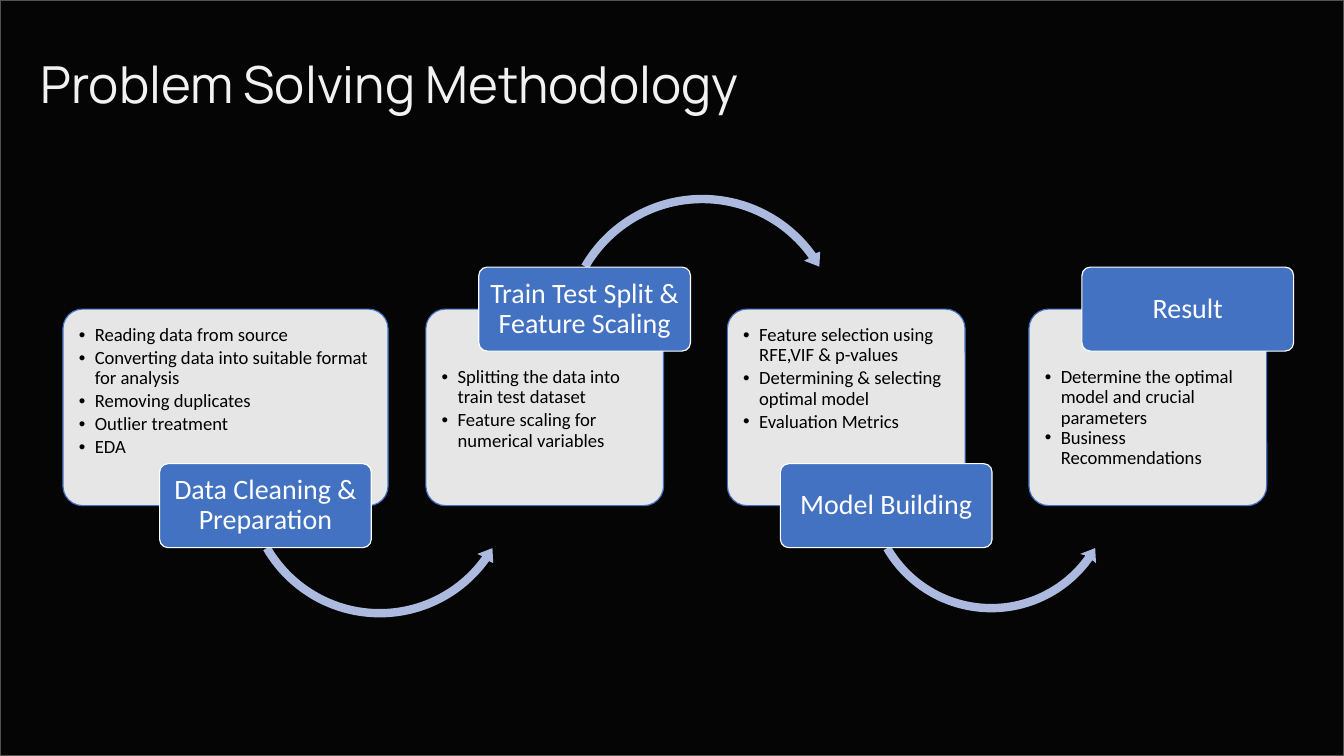
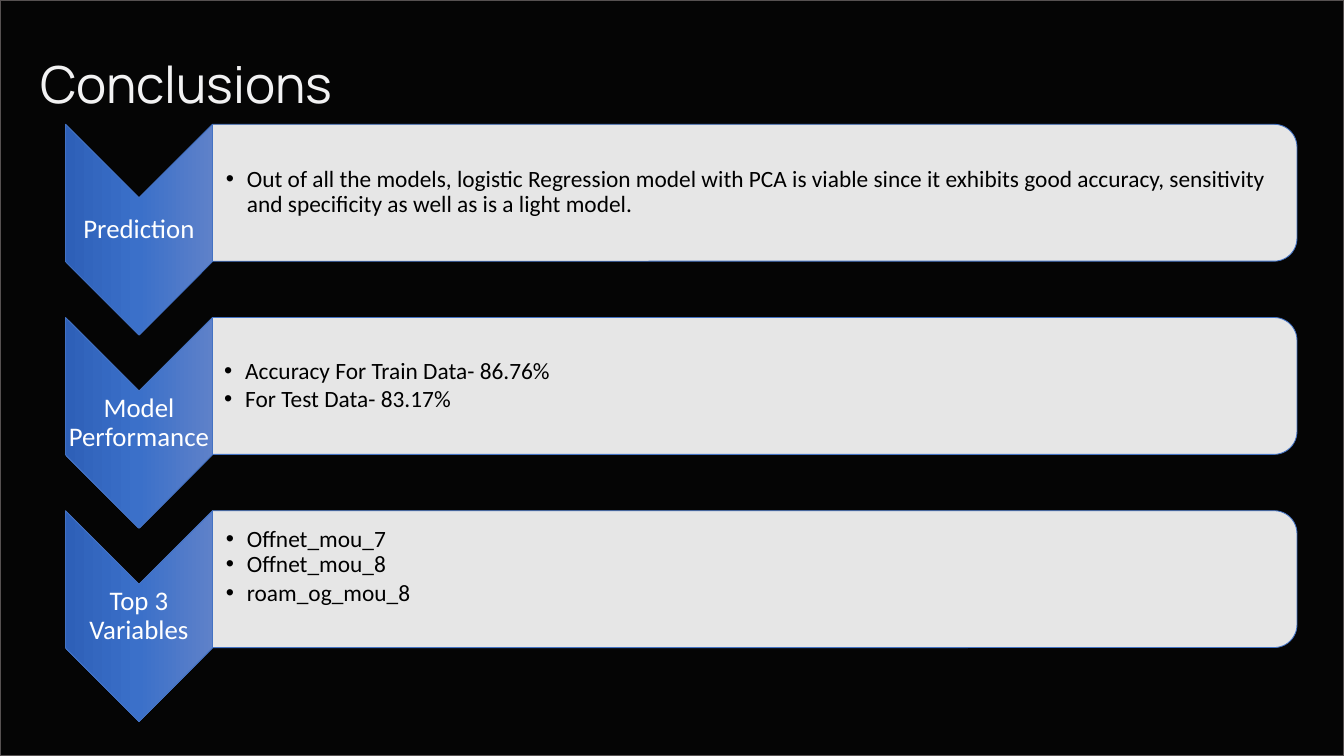
"""Builds two dark slides: a four-step method and its conclusions."""
from copy import deepcopy
from itertools import pairwise
from math import cos, radians, sin, tan

from lxml.etree import SubElement
from pptx import Presentation
from pptx.dml.color import RGBColor
from pptx.enum.shapes import MSO_SHAPE as Kind
from pptx.enum.text import MSO_ANCHOR as Anchor, MSO_AUTO_SIZE as Fit, PP_ALIGN as Align
from pptx.oxml.ns import qn
from pptx.util import Inches, Pt

Rgb = RGBColor.from_string
BLACK, WHITE, BLUE = "000000", "FFFFFF", "4372C3"
NIGHT, EDGE, PALE, SWEEP = "050505", "565151", "F2F2F3", "ABBADE"
BLEND = [(0, "5E81C9"), (0.5, "3B70C9"), (1, "2E60B8")]
TIGHT = {"Business Recommendations", "Offnet_mou_8"}
TURNS = [radians(150), radians(92.75), radians(35.5)]


def paint(shape, fill, line=None, width=1, alpha=None):
    shape.shadow.inherit = False
    shape.fill.solid()
    shape.fill.fore_color.rgb = Rgb(fill)
    if alpha:
        tint = shape.element.spPr.find(".//" + qn("a:srgbClr"))
        SubElement(tint, qn("a:alpha"), val=str(alpha * 1000))
    if line:
        shape.line.color.rgb = Rgb(line)
        shape.line.width = Pt(width)
    else:
        shape.line.fill.background()


def write(shape, text, size, color, insets, anchor=Anchor.MIDDLE, font="Calibri",
          space=0.9, align=Align.CENTER, indent=0, gap=0):
    frame = shape.text_frame
    frame.text = text
    frame.word_wrap = True
    frame.auto_size = Fit.NONE
    frame.vertical_anchor = anchor
    (frame.margin_left, frame.margin_top,
     frame.margin_right, frame.margin_bottom) = map(Inches, insets)
    for num, para in enumerate(frame.paragraphs):
        para.alignment = align
        para.line_spacing = space
        if indent:
            props = para._p.get_or_add_pPr()
            props.set("marL", str(Inches(indent)))
            props.set("indent", str(-Inches(indent)))
            SubElement(props, qn("a:buFont"), typeface="Arial")
            SubElement(props, qn("a:buChar"), char="•")
        if num and para.text not in TIGHT:
            para.space_before = Pt(gap)
        for run in para.runs:
            run.font.size = Pt(size)
            run.font.name = font
            run.font.color.rgb = Rgb(color)


deck = Presentation()
deck.slide_width, deck.slide_height = Inches(16), Inches(9)

pages = []
for name in ("Problem Solving Methodology", "Conclusions"):
    page = deck.slides.add_slide(deck.slide_layouts[5])
    title = page.shapes.title
    title.left, title.top = Inches(0.38), Inches(0.39)
    title.width, title.height = Inches(8.98), Inches(0.76)
    write(title, name, 43.7, PALE, (0.1, 0.05, 0.1, 0.05), Anchor.TOP,
          "Manrope", 1.25, Align.LEFT)
    back = page.shapes.add_shape(Kind.RECTANGLE, 0, 0, deck.slide_width, deck.slide_height)
    paint(back, NIGHT, EDGE, 1.09)
    title.element.addprevious(back.element)
    pages.append(page.shapes)

method, ending = pages

steps = [
    (0.75, 3.87, 1.9, "Data Cleaning & Preparation", (4.52, 5.75, 1.6),
     ["Reading data from source", "Converting data into suitable format for analysis",
      "Removing duplicates", "Outlier treatment", "EDA"]),
    (5.07, 2.83, 5.7, "Train Test Split & Feature Scaling", (8.36, 3.98, 1.66),
     ["Splitting the data into train test dataset",
      "Feature scaling for numerical variables"]),
    (8.66, 2.83, 9.29, "Model Building", (11.8, 5.81, 1.48),
     ["Feature selection using RFE,VIF & p-values",
      "Determining & selecting optimal model", "Evaluation Metrics"]),
    (12.25, 2.83, 12.88, "Result", None,
     ["Determine the optimal model and crucial parameters", "Business Recommendations"]),
]
for num, (left, width, tab, name, ring, lines) in enumerate(steps):
    high = num % 2
    card = method.add_shape(Kind.ROUNDED_RECTANGLE, Inches(left), Inches(3.68),
                            Inches(width), Inches(2.34))
    card.adjustments[0] = 0.1
    paint(card, WHITE, BLUE, alpha=90)
    write(card, "\n".join(lines), 16, BLACK, (0.12, 0.63 if high else 0.13, 0.13, 0.13),
          Anchor.TOP, align=Align.LEFT, indent=0.19, gap=2.4)

    if ring:
        mid, base, size = ring
        half = size + 0.06
        flip = -1 if high else 1
        tip_x, tip_y = [(size - 0.05) * turn(radians(30)) for turn in (cos, sin)]
        arcs = []
        for rad, turns in ((size - 0.1, TURNS), (size, TURNS[::-1])):
            arc = [(rad * cos(turns[0]), rad * sin(turns[0]))]
            for start, end in pairwise(turns):
                pull = rad * 4 / 3 * tan((end - start) / 4)
                x, y = rad * cos(end), rad * sin(end)
                arc += [(arc[-1][0] - pull * sin(start), arc[-1][1] + pull * cos(start)),
                        (x + pull * sin(end), y - pull * cos(end)), (x, y)]
            arcs.append(arc)
        inner, outer = arcs
        moves = [("moveTo", inner[:1]), ("cubicBezTo", inner[1:4]), ("cubicBezTo", inner[4:]),
                 ("lnTo", [(tip_x - 0.18, tip_y + 0.07)]), ("lnTo", [(tip_x, tip_y)]),
                 ("lnTo", [(tip_x + 0.01, tip_y + 0.18)]), ("lnTo", outer[:1]),
                 ("cubicBezTo", outer[1:4]), ("cubicBezTo", outer[4:]), ("close", [])]

        x0, x1, y0, y1 = map(Inches, (mid - half, mid + half, base - half, base + half))
        frame = method.build_freeform(x0, y0)
        frame.add_line_segments([(x1, y0), (x1, y1), (x0, y1)])
        arrow = frame.convert_to_shape()
        paint(arrow, SWEEP)
        track = arrow.element.spPr.find(".//" + qn("a:path"))
        for part in list(track):
            track.remove(part)
        for verb, dots in moves:
            move = SubElement(track, qn("a:" + verb))
            for x, y in dots:
                SubElement(move, qn("a:pt"), x=str(Inches(half + x)),
                           y=str(Inches(half + flip * y)))

    node = method.add_shape(Kind.ROUNDED_RECTANGLE, Inches(tab),
                            Inches(3.18 if high else 5.52), Inches(2.52), Inches(1))
    node.adjustments[0] = 0.1
    paint(node, BLUE, WHITE)
    write(node, name, 24, WHITE, (0.05, 0.03, 0.05, 0.03))

points = [
    ("Prediction", 2.53, 0.01,
     ["Out of all the models, logistic Regression model with PCA is viable since it "
      "exhibits good accuracy, sensitivity and specificity as well as is a light model."]),
    ("Model Performance", 2.51, 0.01,
     ["Accuracy For Train Data- 86.76%", "For Test Data- 83.17%"]),
    ("Top 3 Variables", 2.53, 0.31, ["Offnet_mou_7", "Offnet_mou_8", "roam_og_mou_8"]),
]
for num, (name, left, foot, lines) in enumerate(points):
    drop = 2.3 * num
    mark = ending.add_shape(Kind.CHEVRON, Inches(0.4), Inches(1.86 + drop),
                            Inches(2.51), Inches(1.75))
    mark.rotation = 90
    paint(mark, BLUE, BLUE, 0.75)
    mark.fill.gradient()
    mark.fill.gradient_angle = 270
    stops = mark.element.spPr.find(".//" + qn("a:gsLst"))
    stops.insert(1, deepcopy(stops[0]))
    for stop, (spot, color) in zip(mark.fill.gradient_stops, BLEND):
        stop.position = spot
        stop.color.rgb = Rgb(color)

    label = ending.add_textbox(Inches(0.78), Inches(2.36 + drop), Inches(1.75), Inches(0.75))
    write(label, name, 23, WHITE, (0.02, 0.02, 0.02, 0.02))

    panel = ending.add_shape(Kind.ROUND_2_SAME_RECTANGLE, Inches(8.17),
                             Inches(drop - 4.16), Inches(1.63), Inches(12.91))
    panel.rotation = 90
    panel.adjustments[0] = 0.167
    paint(panel, WHITE, BLUE, 0.75, 90)

    body = ending.add_textbox(Inches(left), Inches(1.56 + drop), Inches(12.83), Inches(1.47))
    write(body, "\n".join(lines), 20, BLACK, (0.16, 0.01, 0.01, foot),
          align=Align.LEFT, indent=0.25, gap=3)

deck.save("out.pptx")
